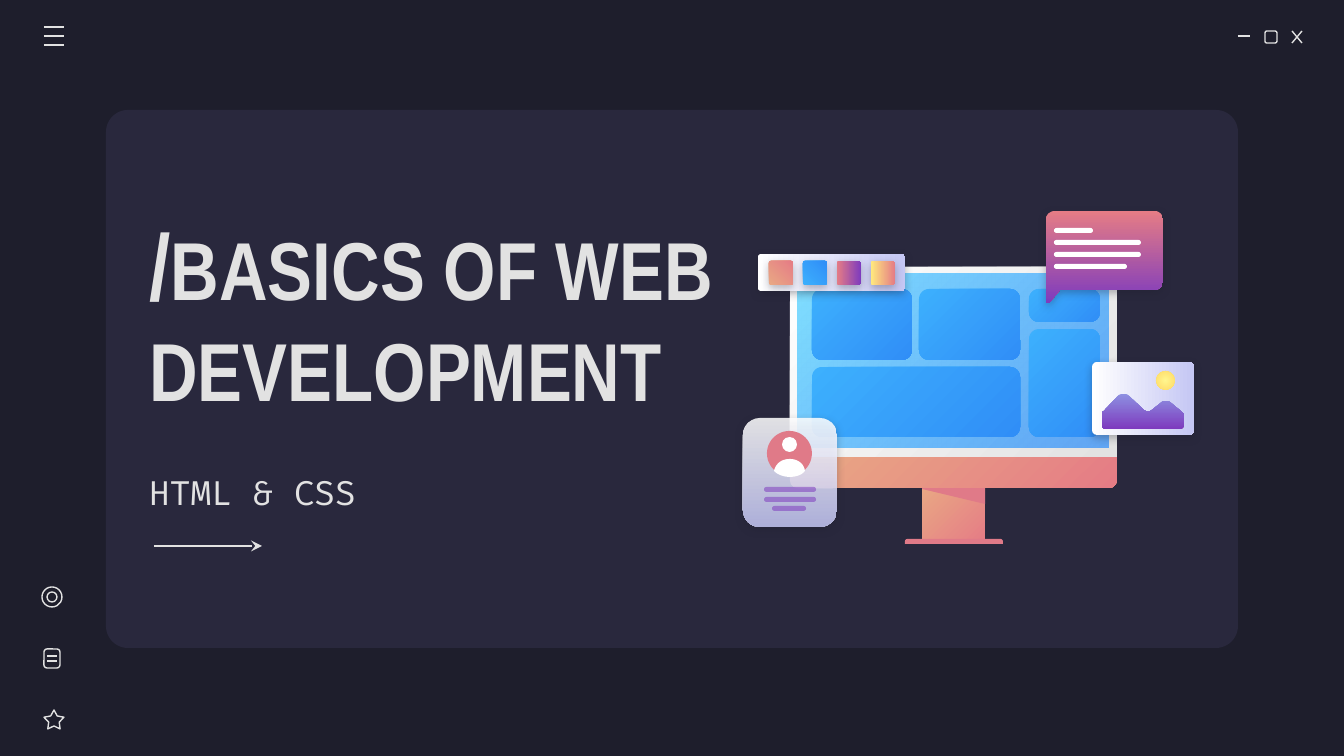
"""Builds the title slide of a web development course with a drawn workstation."""
from dataclasses import dataclass
from typing import NamedTuple

from lxml.etree import SubElement
from pptx import Presentation
from pptx.dml.color import RGBColor
from pptx.enum.shapes import MSO_CONNECTOR as Connector, MSO_SHAPE as Preset
from pptx.enum.text import MSO_ANCHOR as Anchor, MSO_AUTO_SIZE as AutoSize, PP_ALIGN as Align
from pptx.oxml.ns import qn
from pptx.util import Emu, Pt

SCALE = 914400 / 134.4
CURVE_STEPS = 10
COLORS = {
    "night": "1E1E2C", "card": "29283D", "light": "E2E2E2", "white": "FFFFFF",
    "peach": "E9A984", "coral": "E57C85", "rose": "E07A88", "purple": "7E3BBE",
    "aqua": "80DFFF", "azure": "318FFA", "sky": "3DB0FD", "blue": "308EF7",
    "lavender": "C5C7F4", "violet": "8D90E1", "lemon": "FFF68E", "gold": "FFD966",
    "yellow": "FFEA7D",
}


@dataclass(frozen=True)
class Paint:
    start: str
    end: str = ""
    angle: int = 0
    alphas: tuple = (100, 100)
    radial: bool = False


class Part(NamedTuple):
    kind: object
    box: tuple
    paint: Paint | None
    radius: int = 0
    shadow: bool = False


class Outline(NamedTuple):
    points: tuple
    paint: Paint
    shadow: bool = False


class Stroke(NamedTuple):
    start: tuple
    end: tuple
    arrow: bool = False


ROUND, TOP_ROUND, RECT, OVAL = (Preset.ROUNDED_RECTANGLE, Preset.ROUND_2_SAME_RECTANGLE,
                                Preset.RECTANGLE, Preset.OVAL)
WHITE, ROSE = Paint("white"), Paint("rose")
WARM = Paint("peach", "coral", 45)
PANEL = Paint("sky", "blue", 45)
PAPER = Paint("white", "lavender")
BAR = Paint("purple", alphas=(54,))

WINDOW = [
    Part(ROUND, (106, 110, 1132, 538), Paint("card"), 22),
    Stroke((1238, 36), (1250, 36)),
    Part(ROUND, (1265, 31, 12, 12), None, 2),
    Stroke((1292, 31), (1302, 43)),
    Stroke((1302, 31), (1292, 43)),
]
MONITOR = [
    Part(RECT, (922, 485, 63, 58), WARM),
    Part(TOP_ROUND, (905, 539, 98, 5), ROSE, 3),
    Outline(((922, 485), (922, 489), (985, 504), (985, 485)), ROSE),
    Part(TOP_ROUND, (790, 456, 327, 32), WARM, -8),
    Part(TOP_ROUND, (790, 267, 327, 190), Paint("white", "light", 45), 8),
    Part(RECT, (798, 274, 311, 174), Paint("aqua", "azure", 45, (100, 72))),
    *(Part(ROUND, box, PANEL, 10) for box in (
        (812, 289, 100, 71), (812, 367, 208, 70), (919, 289, 101, 71),
        (1029, 289, 71, 33), (1029, 329, 71, 108))),
]
BUBBLE = [
    Outline(((1055, 211), (1050, 211, 1046, 215, 1046, 220), (1046, 301),
             (1046, 303, 1049, 304, 1050, 302), (1060, 290), (1155, 290),
             (1159, 290, 1163, 286, 1163, 281), (1163, 220),
             (1163, 215, 1159, 211, 1155, 211)), Paint("coral", "purple", 90), True),
    *(Part(ROUND, (1054, 228 + 12 * row, width, 5), WHITE, 3)
      for row, width in enumerate((39, 87, 87, 73))),
]
MENU = [Stroke((44, y), (64, y)) for y in (27, 36, 45)]
PROFILE = [
    Part(ROUND, (743, 418, 94, 109), Paint("white", "lavender", 90, (86, 86)), 17, True),
    Part(OVAL, (767, 431, 45, 45), ROSE),
    Part(OVAL, (782, 437, 15, 15), WHITE),
    Outline(((790, 459), (782, 459, 776, 463, 774, 471), (778, 475, 784, 477, 790, 477),
             (796, 477, 802, 475, 805, 471), (804, 463, 797, 459, 790, 459)), WHITE),
    *(Part(ROUND, (x, y, width, 5), BAR, 3)
      for x, y, width in ((764, 487, 52), (764, 497, 52), (772, 506, 34))),
]
PHOTO = [
    Part(ROUND, (1092, 362, 102, 73), PAPER, 5, True),
    Outline(((1124, 394), (1122, 394, 1121, 394, 1119, 395), (1104, 411),
             (1102, 412, 1102, 413, 1102, 414), (1102, 425),
             (1102, 427, 1104, 429, 1106, 429), (1179, 429),
             (1182, 429, 1184, 427, 1184, 425), (1184, 415),
             (1184, 414, 1183, 413, 1182, 412), (1170, 402),
             (1168, 401, 1163, 401, 1162, 402), (1152, 410),
             (1150, 412, 1146, 412, 1144, 410), (1128, 395),
             (1127, 394, 1125, 394, 1124, 394)), Paint("violet", "purple", 90)),
    Part(OVAL, (1156, 371, 19, 19), Paint("lemon", "gold", radial=True)),
]
SWATCHES = [
    Part(ROUND, (758, 254, 147, 37), PAPER, 3, True),
    *(Part(ROUND, (769 + 34 * column, 261, 24, 24), paint, 2, True)
      for column, paint in enumerate((
          Paint("peach", "coral", 315), Paint("sky", "blue", 315),
          Paint("coral", "purple"), Paint("yellow", "coral")))),
]
SIDEBAR = [
    Part(Preset.STAR_5_POINT, (44, 710, 20, 19), None, 5),
    Part(ROUND, (44, 649, 16, 19), None, 3),
    *(Stroke((47, y), (57, y)) for y in (656, 661)),
    Part(OVAL, (42, 587, 20, 20), None),
    Part(OVAL, (47, 592, 10, 10), None),
]
ARROW = [Stroke((154, 546), (262, 546), True)]


def px(*values: float) -> list[Emu]:
    return [Emu(round(value * SCALE)) for value in values]


def rgb(name: str) -> RGBColor:
    return RGBColor.from_string(COLORS[name])


def apply(target, values: dict) -> None:
    for name, value in values.items():
        setattr(target, name, value)


def set_line(line) -> None:
    line.color.rgb = rgb("light")
    line.width = Pt(0.75)


def finish(shape, paint: Paint | None, shadow: bool = False) -> None:
    shape.shadow.inherit = False
    if paint is None:
        shape.fill.background()
        set_line(shape.line)
        return
    if paint.end:
        shape.fill.gradient()
        shape.fill.gradient_angle = -paint.angle % 360
        for stop, name in zip(shape.fill.gradient_stops, (paint.start, paint.end)):
            stop.color.rgb = rgb(name)
    else:
        shape.fill.solid()
        shape.fill.fore_color.rgb = rgb(paint.start)
    properties = shape.element.spPr
    for color, alpha in zip(properties.iter(qn("a:srgbClr")), paint.alphas):
        if alpha < 100:
            SubElement(color, qn("a:alpha"), val=str(alpha * 1000))
    if paint.radial:
        gradient = properties.find(qn("a:gradFill"))
        gradient.remove(gradient.find(qn("a:lin")))
        circle = SubElement(gradient, qn("a:path"), {"path": "circle"})
        SubElement(circle, qn("a:fillToRect"), dict.fromkeys("ltrb", "50000"))
    shape.line.fill.background()
    if shadow:
        outer = SubElement(properties.find(qn("a:effectLst")), qn("a:outerShdw"),
                           blurRad="57150", dist="19050", dir="5400000", rotWithShape="0")
        color = SubElement(outer, qn("a:srgbClr"), val=COLORS["night"])
        SubElement(color, qn("a:alpha"), val="30000")


def draw_part(page, part: Part) -> None:
    shape = page.shapes.add_shape(part.kind, *px(*part.box))
    ratio = min(abs(part.radius) / min(part.box[2:]), 0.5)
    if part.kind == TOP_ROUND:
        shape.adjustments[0], shape.adjustments[1] = (ratio, 0) if part.radius > 0 else (0, ratio)
    elif part.radius:
        shape.adjustments[0] = ratio
    finish(shape, part.paint, part.shadow)


def draw_outline(page, outline: Outline) -> None:
    trail = [outline.points[0]]
    for point in outline.points[1:]:
        if len(point) == 2:
            trail.append(point)
            continue
        knots = (trail[-1], point[:2], point[2:4], point[4:])
        for step in range(1, CURVE_STEPS + 1):
            t = step / CURVE_STEPS
            weights = ((1 - t) ** 3, 3 * t * (1 - t) ** 2, 3 * t * t * (1 - t), t ** 3)
            trail.append(tuple(sum(w * knot[axis] for w, knot in zip(weights, knots))
                               for axis in (0, 1)))
    builder = page.shapes.build_freeform(*px(*trail[0]))
    builder.add_line_segments([px(*point) for point in trail[1:]], close=True)
    finish(builder.convert_to_shape(), outline.paint, outline.shadow)


def draw_stroke(page, stroke: Stroke) -> None:
    connector = page.shapes.add_connector(Connector.STRAIGHT, *px(*stroke.start, *stroke.end))
    set_line(connector.line)
    properties = connector.element.spPr
    if stroke.arrow:
        SubElement(properties.find(qn("a:ln")), qn("a:tailEnd"), type="stealth")
    SubElement(properties, qn("a:effectLst"))


def write(box, place: tuple, runs: list[tuple[str, int]], font: str, bold: bool) -> None:
    apply(box, dict(zip(("left", "top", "width", "height"), px(*place))))
    margins = dict.fromkeys(("margin_left", "margin_top", "margin_right", "margin_bottom"),
                            Pt(7.2))
    apply(box.text_frame, {"word_wrap": True, "auto_size": AutoSize.NONE,
                           "vertical_anchor": Anchor.MIDDLE, **margins})
    para = box.text_frame.paragraphs[0]
    para.alignment = Align.LEFT
    for text, size in runs:
        span = para.add_run()
        span.text = text
        apply(span.font, {"name": font, "size": Pt(size), "bold": bold})
        span.font.color.rgb = rgb("light")


def main() -> None:
    deck = Presentation()
    deck.slide_width, deck.slide_height = px(1344, 756)
    page = deck.slides.add_slide(deck.slide_layouts[5])
    page.background.fill.solid()
    page.background.fill.fore_color.rgb = rgb("night")
    painters = {Part: draw_part, Outline: draw_outline, Stroke: draw_stroke}

    def draw(items: list) -> None:
        for item in items:
            painters[type(item)](page, item)

    draw(WINDOW)
    subtitle = page.shapes.add_textbox(*px(136, 461, 435, 62))
    write(subtitle, (136, 461, 435, 62), [("HTML & CSS", 18)], "Fira Code", False)
    title = page.shapes.title
    title.element.getparent().append(title.element)
    write(title, (136, 194, 601, 237),
          [("/", 50), ("BASICS OF WEB DEVELOPMENT", 44)], "Arial Narrow", True)
    for group in (MONITOR, BUBBLE, MENU, PROFILE, PHOTO, SWATCHES, SIDEBAR, ARROW):
        draw(group)
    deck.save("out.pptx")


main()
